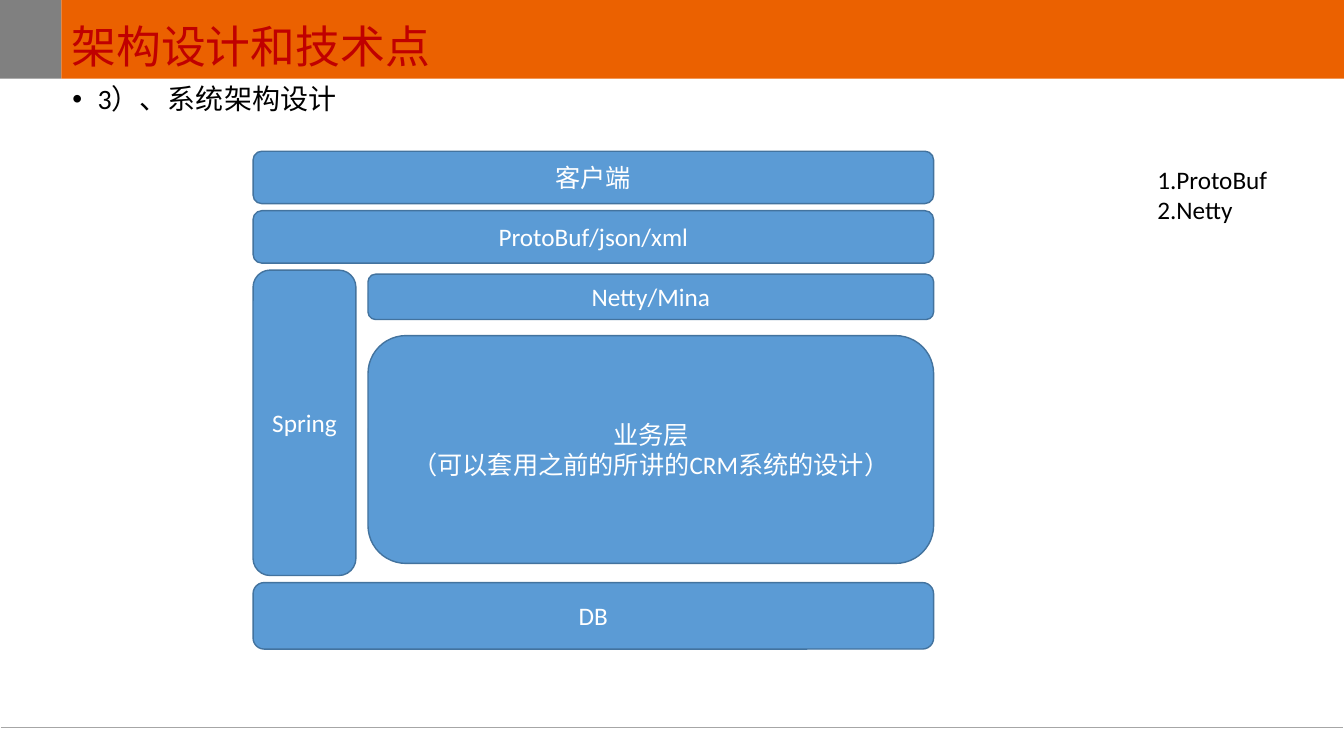
import pptx
import pptx.dml.color
import pptx.enum.shapes
import pptx.enum.text
import pptx.oxml.ns
import pptx.util
from dataclasses import dataclass
from lxml import etree

SHAPE = pptx.enum.shapes.MSO_SHAPE
ALIGN = pptx.enum.text.PP_ALIGN
ANCHOR = pptx.enum.text.MSO_ANCHOR
SCALE = 9144


@dataclass
class Theme:
    gray: str = "808080"
    rule: str = "A6A6A6"
    orange: str = "EB6100"
    red: str = "C00000"
    blue: str = "5B9BD5"
    edge: str = "43739E"
    white: str = "FFFFFF"
    black: str = "000000"
    title: int = 32
    body: int = 20
    label: int = 18
    latin: str = "Calibri"
    asian: str = "Noto Sans CJK SC"


def px(size):
    return pptx.util.Emu(size * SCALE)


def color(code):
    return pptx.dml.color.RGBColor.from_string(code)


def child(parent, tag, **attrs):
    return etree.SubElement(parent, pptx.oxml.ns.qn(tag), attrs)


class Board:
    def __init__(self, theme, slide):
        self.theme = theme
        self.slide = slide

    def fill(self, frame, lines, size, ink, font=None, align=ALIGN.LEFT):
        for index, line in enumerate(lines):
            para = frame.paragraphs[0] if index == 0 else frame.add_paragraph()
            para.alignment = align
            run = para.add_run()
            run.text = line
            run.font.size = pptx.util.Pt(size)
            run.font.color.rgb = color(ink)
            run.font.name = font or self.theme.latin
            child(run.font._element, "a:ea", typeface=self.theme.asian)

    def block(self, kind, box, fill, edge=None):
        shape = self.slide.shapes.add_shape(kind, *map(px, box))
        shape.shadow.inherit = False
        shape.fill.solid()
        shape.fill.fore_color.rgb = color(fill)
        if edge:
            shape.line.color.rgb = color(edge)
            shape.line.width = pptx.util.Pt(1)
        else:
            shape.line.fill.background()
        return shape

    def title(self, box, text):
        theme = self.theme
        frame = self.block(SHAPE.RECTANGLE, box, theme.orange).text_frame
        frame.vertical_anchor = ANCHOR.BOTTOM
        self.fill(frame, [text], theme.title, theme.red, theme.asian)
        frame.paragraphs[0].line_spacing = 0.9

    def layer(self, box, *lines):
        theme = self.theme
        shape = self.block(SHAPE.ROUNDED_RECTANGLE, box, theme.blue, theme.edge)
        frame = shape.text_frame
        frame.vertical_anchor = ANCHOR.MIDDLE
        self.fill(frame, lines, theme.label, theme.white, align=ALIGN.CENTER)

    def text(self, box, lines, size, wrap=True):
        frame = self.slide.shapes.add_textbox(*map(px, box)).text_frame
        frame.word_wrap = wrap
        self.fill(frame, lines, size, self.theme.black)
        return frame

    def bullet(self, box, line):
        para = self.text(box, [line], self.theme.body).paragraphs[0]
        para.line_spacing = 0.9
        para.space_before = pptx.util.Pt(10)
        props = para._p.get_or_add_pPr()
        props.set("marL", str(px(25)))
        props.set("indent", str(px(-25)))
        child(props, "a:buFont", typeface="Arial")
        child(props, "a:buChar", char="•")

    def rule(self, left, right, top):
        line = self.slide.shapes.add_connector(
            pptx.enum.shapes.MSO_CONNECTOR.STRAIGHT,
            px(left), px(top), px(right), px(top))
        line.line.color.rgb = color(self.theme.rule)
        line.line.width = pptx.util.Pt(0.5)
        child(line._element.spPr, "a:effectLst")


def main():
    deck = pptx.Presentation()
    deck.slide_width, deck.slide_height = px(1333), px(750)
    theme = Theme()
    board = Board(theme, deck.slides.add_slide(deck.slide_layouts[6]))

    board.block(SHAPE.RECTANGLE, (0, 0, 61, 78), theme.gray)
    board.rule(1, 1332, 722)
    board.title((61, 0, 1272, 78), "架构设计和技术点")
    board.bullet((62, 80, 1056, 394), "3）、系统架构设计")

    left, inner, right = 251, 365, 926
    wide, narrow = right - left, right - inner
    board.layer((left, 268, 102, 303), "Spring")
    board.layer((left, 578, wide, 66), "DB")
    board.layer((inner, 272, narrow, 45), "Netty/Mina")
    board.layer((left, 150, wide, 52), "客户端")
    board.layer((inner, 333, narrow, 226),
                "业务层", "（可以套用之前的所讲的CRM系统的设计）")
    board.layer((left, 209, wide, 52), "ProtoBuf/json/xml")
    board.text((1138, 158, 130, 101), ["1.ProtoBuf", "2.Netty"],
               theme.label, wrap=False)

    deck.save("out.pptx")


if __name__ == "__main__":
    main()
